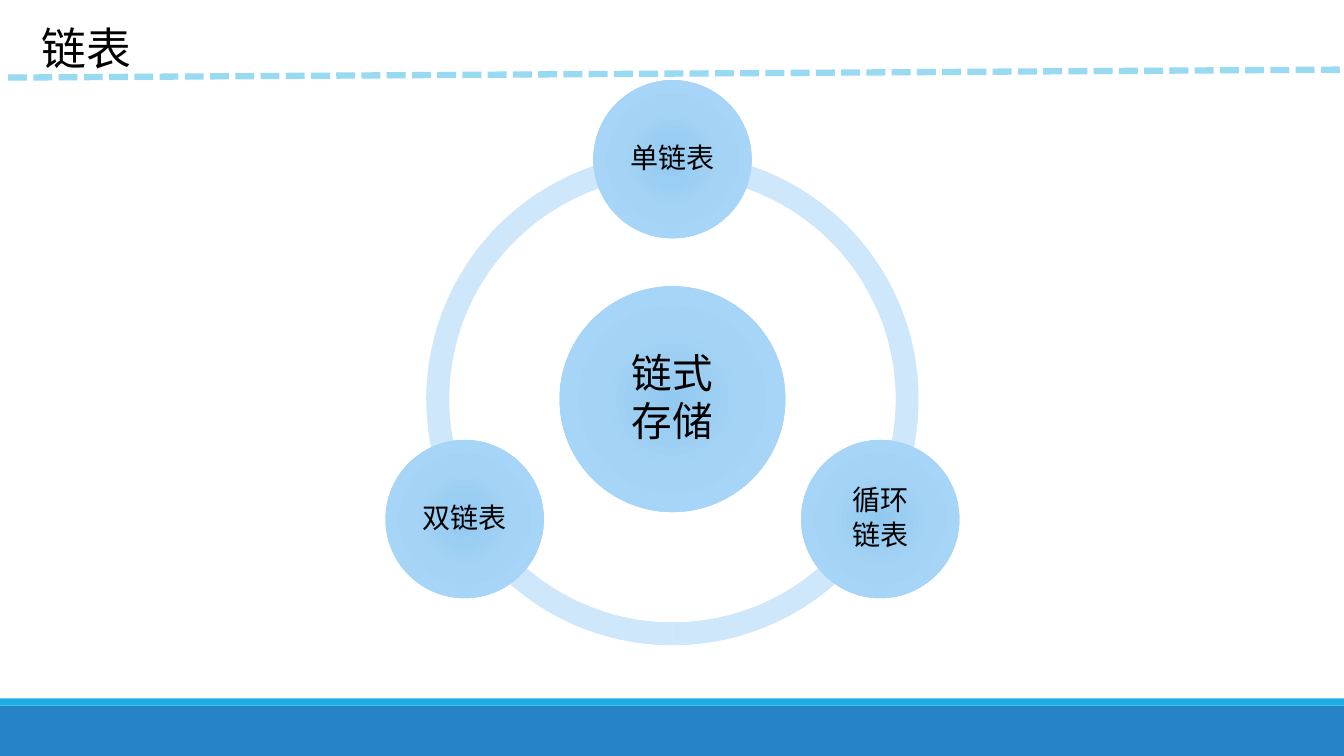
import math

from lxml import etree
from pptx import Presentation
from pptx.dml.color import RGBColor
from pptx.enum.dml import MSO_LINE
from pptx.enum.shapes import MSO_CONNECTOR, MSO_SHAPE
from pptx.enum.text import MSO_ANCHOR, MSO_AUTO_SIZE, PP_ALIGN
from pptx.oxml import parse_xml
from pptx.oxml.ns import nsdecls, qn
from pptx.util import Inches, Pt

RECTANGLE, OVAL, BLOCK_ARC = MSO_SHAPE.RECTANGLE, MSO_SHAPE.OVAL, MSO_SHAPE.BLOCK_ARC
STRAIGHT, SHORT_DASH = MSO_CONNECTOR.STRAIGHT, MSO_LINE.SQUARE_DOT
LEFT, CENTER, MIDDLE = PP_ALIGN.LEFT, PP_ALIGN.CENTER, MSO_ANCHOR.MIDDLE
GROW = MSO_AUTO_SIZE.SHAPE_TO_FIT_TEXT

BLACK = RGBColor(0x00, 0x00, 0x00)
BLUE = RGBColor(0x26, 0x83, 0xC6)
CYAN = RGBColor(0x1C, 0xAD, 0xE4)
PALE_CYAN = RGBColor(0x99, 0xDA, 0xF3)
RING_COLORS = (RGBColor(0xC1, 0xDC, 0xF2), RGBColor(0xCE, 0xE5, 0xF8), RGBColor(0xD0, 0xE9, 0xFD))
NODE_COLORS = (RGBColor(0x92, 0xC9, 0xF0), RGBColor(0xA4, 0xD3, 0xF5), RGBColor(0xA9, 0xD9, 0xFD))
STOPS = (0, 45, 100)

CENTER_X, CENTER_Y = 6.67, 3.96
RING_SIZE, RING_THICKNESS = 4.88, 0.046
ORBIT = 2.38
HUB_SIZE, NODE_SIZE = 2.24, 1.57


class SlideBuilder:
    """Draws styled elements on the current slide."""

    font_name = "Noto Sans CJK SC"

    def __init__(self, page):
        self.page = page

    def format_text(self, frame, size, alignment):
        for para in frame.paragraphs:
            para.alignment = alignment
            for span in para.runs:
                span.font.name = self.font_name
                span.font.size = Pt(size)
                span.font.color.rgb = BLACK
                east_asian = etree.SubElement(span.font._element, qn("a:ea"))
                east_asian.set("typeface", self.font_name)

    def title(self, text, left, top, width, height, size):
        box = self.page.shapes.title
        box.left, box.top = Inches(left), Inches(top)
        box.width, box.height = Inches(width), Inches(height)
        frame = box.text_frame
        frame.text = text
        frame.word_wrap = False
        frame.auto_size = GROW
        frame.margin_left = Inches(0.2)
        self.format_text(frame, size, LEFT)

    def shape(self, kind, left, top, width, height):
        shape = self.page.shapes.add_shape(
            kind, Inches(left), Inches(top), Inches(width), Inches(height))
        shape.shadow.inherit = False
        shape.line.fill.background()
        return shape

    def bar(self, top, height, color):
        bar = self.shape(RECTANGLE, 0, top, 13.33, height)
        bar.fill.solid()
        bar.fill.fore_color.rgb = color

    def disc(self, kind, x, y, size, colors):
        disc = self.shape(kind, x - size / 2, y - size / 2, size, size)
        disc.fill.gradient()
        stops = "".join(
            f'<a:gs pos="{stop * 1000}"><a:srgbClr val="{color}"/></a:gs>'
            for stop, color in zip(STOPS, colors))
        gradient = parse_xml(
            f'<a:gradFill {nsdecls("a")} rotWithShape="1"><a:gsLst>{stops}</a:gsLst>'
            '<a:path path="circle"><a:fillToRect l="100000" t="100000" r="100000" b="100000"/>'
            '</a:path></a:gradFill>')
        properties = disc.element.spPr
        properties.replace(properties.find(qn("a:gradFill")), gradient)
        return disc

    def arc(self, start, end):
        arc = self.disc(BLOCK_ARC, CENTER_X, CENTER_Y, RING_SIZE, RING_COLORS)
        arc.adjustments[0] = start * 0.6
        arc.adjustments[1] = end * 0.6
        arc.adjustments[2] = RING_THICKNESS

    def node(self, text, x, y, diameter, size, margin):
        frame = self.disc(OVAL, x, y, diameter, NODE_COLORS).text_frame
        frame.text = text
        frame.word_wrap = True
        frame.vertical_anchor = MIDDLE
        frame.margin_left = frame.margin_right = Inches(margin)
        frame.margin_top = frame.margin_bottom = Inches(margin)
        for para in frame.paragraphs:
            para.line_spacing = 0.9
            para.space_after = Pt(3)
        self.format_text(frame, size, CENTER)

    def dashed_line(self, x1, y1, x2, y2, width, color):
        line = self.page.shapes.add_connector(
            STRAIGHT, Inches(x1), Inches(y1), Inches(x2), Inches(y2))
        line.line.color.rgb = color
        line.line.width = Pt(width)
        line.line.dash_style = SHORT_DASH
        etree.SubElement(line.element.spPr, qn("a:effectLst"))


def main():
    deck = Presentation()
    deck.slide_width, deck.slide_height = Inches(13.33), Inches(7.5)
    builder = SlideBuilder(deck.slides.add_slide(deck.slide_layouts[5]))
    builder.bar(7, 0.5, BLUE)
    builder.bar(6.93, 0.07, CYAN)
    for start, end in ((90, 162), (18, 90), (162, 18)):
        builder.arc(start, end)
    builder.node("链式\n存储", CENTER_X, CENTER_Y, HUB_SIZE, 29, 0.04)
    for index, label in enumerate(("单链表", "循环\n链表", "双链表")):
        angle = math.radians(120 * index - 90)
        x = CENTER_X + ORBIT * math.cos(angle)
        y = CENTER_Y + ORBIT * math.sin(angle)
        builder.node(label, x, y, NODE_SIZE, 20, 0.03)
    builder.title("链表", 0.21, 0.15, 1.23, 0.64, 32)
    builder.dashed_line(0.08, 0.77, 13.42, 0.69, 4.5, PALE_CYAN)
    deck.save("out.pptx")


if __name__ == "__main__":
    main()
